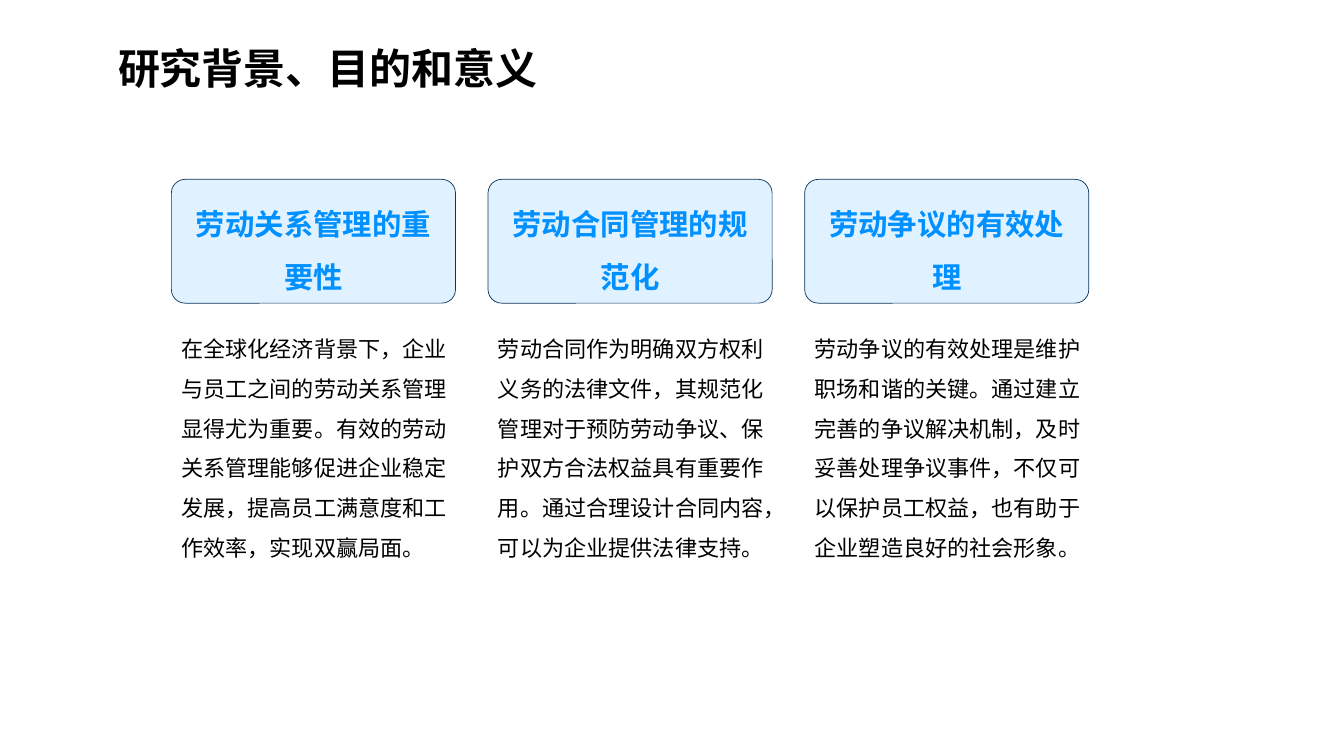
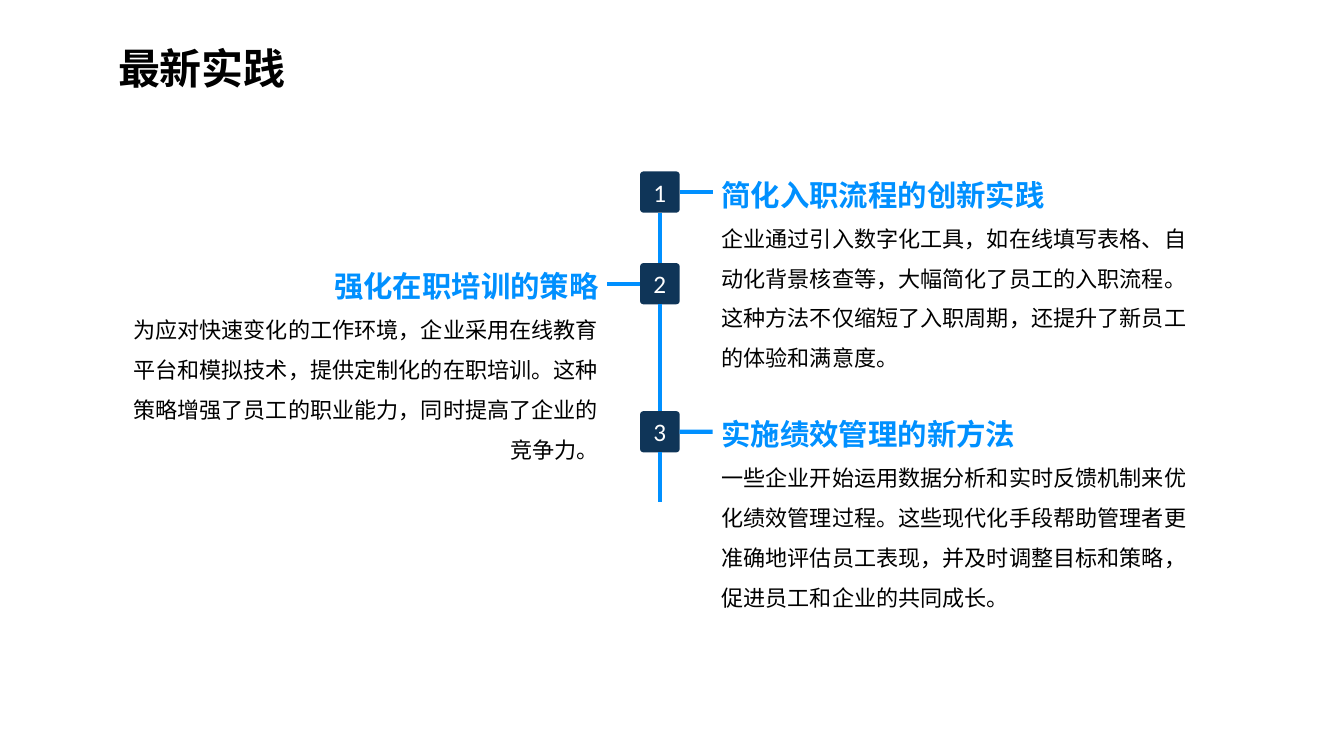
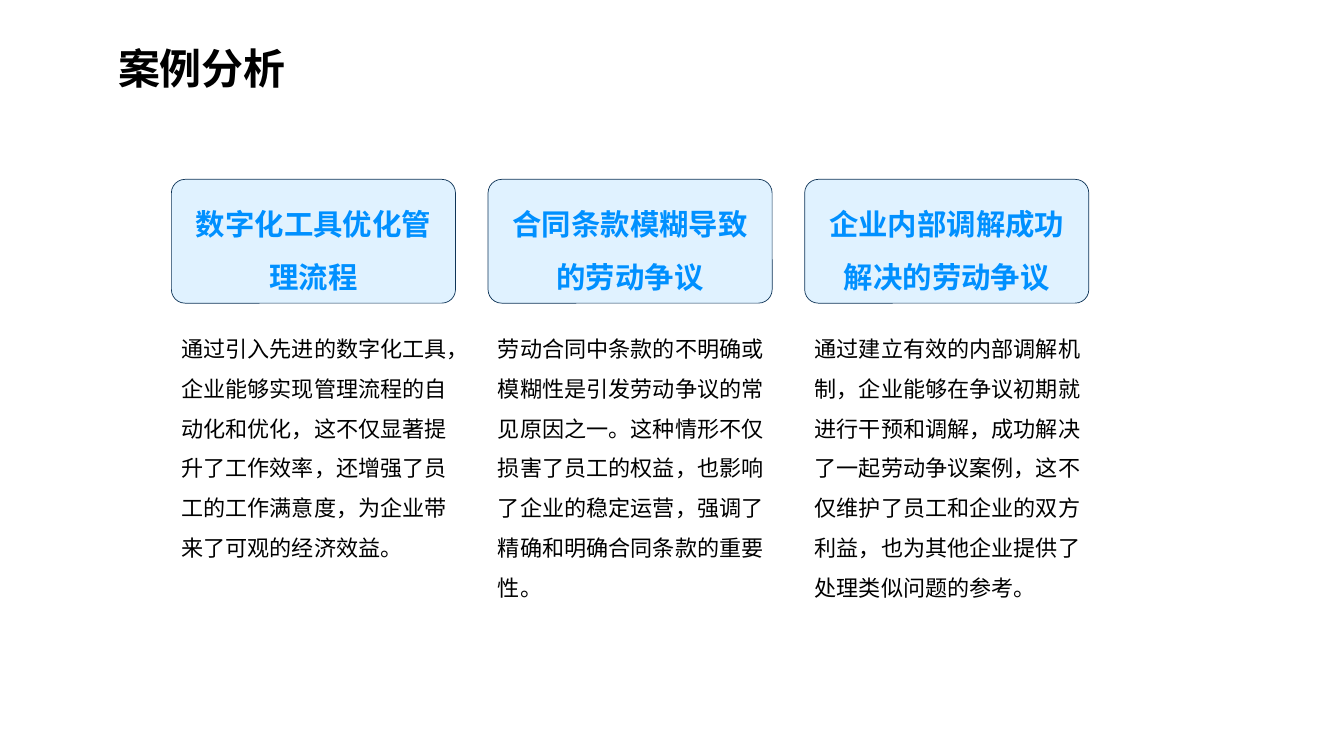
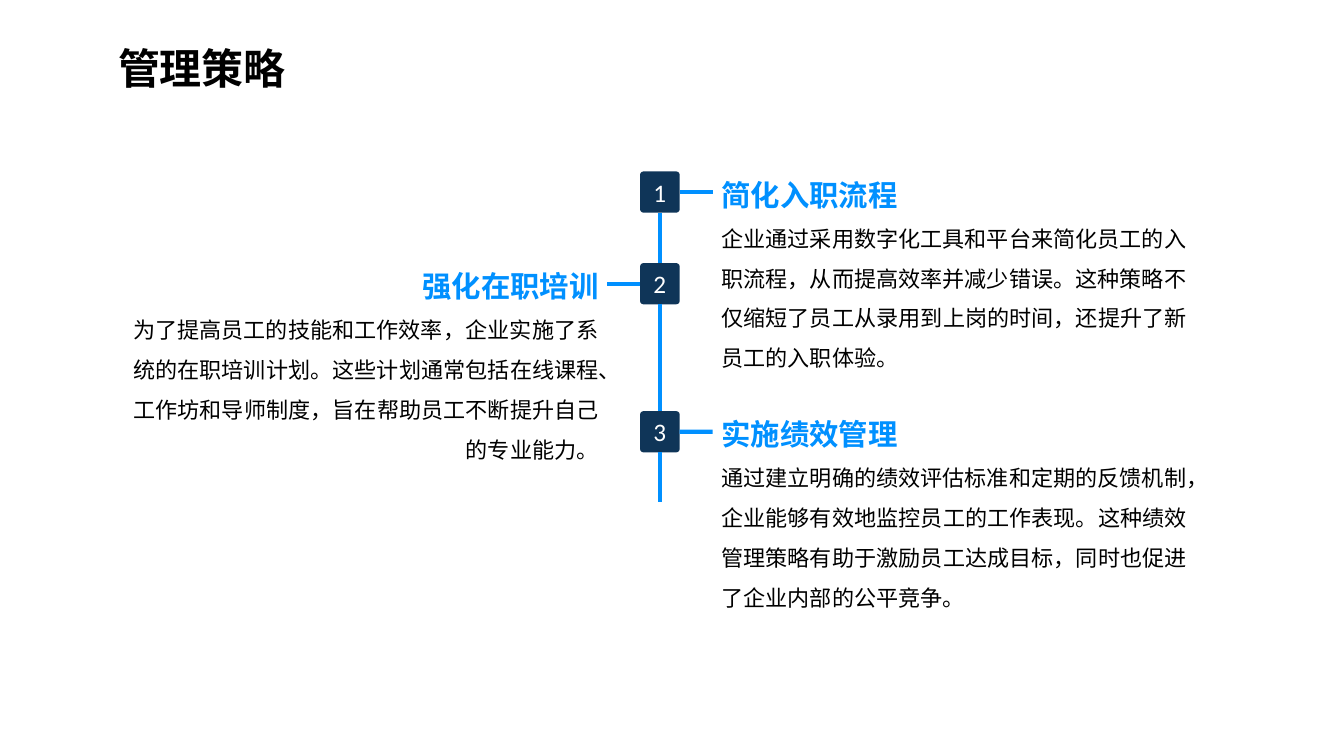
import pptx
import pptx.dml.color
import pptx.enum.shapes
import pptx.enum.text
import pptx.oxml.ns
import pptx.util
from dataclasses import dataclass
from lxml import etree

Cm, Pt = pptx.util.Cm, pptx.util.Pt
RGB = pptx.dml.color.RGBColor.from_string
ALIGN = pptx.enum.text.PP_ALIGN
SHAPE = pptx.enum.shapes.MSO_SHAPE
qn = pptx.oxml.ns.qn


@dataclass(frozen=True)
class Theme:
    ink: str = "000000"
    white: str = "FFFFFF"
    blue: str = "0090FF"
    navy: str = "0F3558"
    pale: str = "E0F2FF"
    font: str = "Noto Sans CJK SC"
    digit: str = "Calibri"
    title: float = 30
    head: float = 21
    mark: float = 18
    body: float = 15.8
    thin: float = 0.5
    bar: float = 3


THEME = Theme()


def write(frame, text, size=THEME.body, color=THEME.ink, font=THEME.font,
          bold=False, align=ALIGN.LEFT, space=1.5, grow=True):
    """Fill the empty first paragraph, or add one after it."""
    kind = pptx.enum.text.MSO_AUTO_SIZE
    frame.word_wrap = True
    frame.auto_size = kind.SHAPE_TO_FIT_TEXT if grow else kind.NONE
    frame.vertical_anchor = pptx.enum.text.MSO_ANCHOR.MIDDLE
    para = frame.paragraphs[0] if not frame.text else frame.add_paragraph()
    para.alignment = align
    para.line_spacing = space
    run = para.add_run()
    run.text = text
    run.font.size = Pt(size)
    run.font.bold = bold
    run.font.color.rgb = RGB(color)
    run.font.name = font
    etree.SubElement(run.font._element, qn("a:ea"), typeface=font)


class Deck:
    def __init__(self, theme):
        self.theme = theme
        self.file = pptx.Presentation()
        self.file.slide_width = Cm(33.87)
        self.file.slide_height = Cm(19.05)
        self.slide = None

    def page(self, title):
        self.slide = self.file.slides.add_slide(self.file.slide_layouts[5])
        box = self.slide.shapes.title
        box.left, box.top, box.width, box.height = Cm(2.72), Cm(0.3), Cm(26.04), Cm(2.16)
        write(box.text_frame, title, size=self.theme.title, bold=True)

    def text(self, x, y, w, h):
        return self.slide.shapes.add_textbox(Cm(x), Cm(y), Cm(w), Cm(h)).text_frame

    def panel(self, x, y, w, h, fill, curve, edge=None):
        box = self.slide.shapes.add_shape(SHAPE.ROUNDED_RECTANGLE, Cm(x), Cm(y), Cm(w), Cm(h))
        box.adjustments[0] = curve
        box.shadow.inherit = False
        box.fill.solid()
        box.fill.fore_color.rgb = RGB(fill)
        if edge:
            box.line.color.rgb = RGB(edge)
            box.line.width = Pt(self.theme.thin)
        else:
            box.line.fill.background()
        return box

    def card(self, x, head, body, rows):
        look = self.theme
        box = self.panel(x, 4.52, 7.16, 3.12, look.pale, 0.11, look.navy)
        write(box.text_frame, head, size=look.head, color=look.blue, bold=True,
              align=ALIGN.CENTER)
        write(self.text(x, 8, 7.62, 0.25 + rows), body)

    def badge(self, x, y, w, h, mark):
        look = self.theme
        box = self.panel(x, y, w, h, look.navy, 0.09)
        write(box.text_frame, mark, size=look.mark, color=look.white, font=look.digit,
              align=ALIGN.CENTER, space=1, grow=False)
        return box

    def note(self, x, y, head, body, align):
        frame = self.text(x, y, 12.62, 5.16)
        write(frame, head, size=self.theme.head, color=self.theme.blue, bold=True,
              align=align, space=1)
        write(frame, body, align=align)

    def link(self, start, side, x=0, y=0, goal=None):
        """Line from a badge's side to a point, or to the top of another badge."""
        line = self.slide.shapes.add_connector(
            pptx.enum.shapes.MSO_CONNECTOR.STRAIGHT, 0, 0, Cm(x), Cm(y))
        line.begin_connect(start, side)
        if goal:
            line.end_connect(goal, 0)
        line.line.color.rgb = RGB(self.theme.blue)
        line.line.width = Pt(self.theme.bar)
        etree.SubElement(line._element.spPr, qn("a:effectLst"))

    # Whole-slide plans
    def cards(self, title, items):
        self.page(title)
        for i, item in enumerate(items):
            self.card(4.32 + 7.98 * i, *item)

    def steps(self, title, items):
        self.page(title)
        left, wide, high, stub = 16.13, 1, 1.04, 0.83
        tops = (4.32, 6.63, 10.36)
        last = None
        for i, (top, (head, body)) in enumerate(zip(tops, items)):
            box = self.badge(left, top, wide, high, str(i + 1))
            mid = top + high / 2
            if i % 2:
                self.note(2.72, top, head, body, ALIGN.RIGHT)
                self.link(box, 1, left - stub, mid)
            else:
                self.note(17.93, top, head, body, ALIGN.LEFT)
                self.link(box, 3, left + wide + stub, mid)
            if last:
                self.link(last, 2, goal=box)
            last = box
        self.link(last, 2, left + wide / 2, 12.65)


def main():
    deck = Deck(THEME)

    # Background; each card ends with its count of body lines
    deck.cards("研究背景、目的和意义", [
        ("劳动关系管理的重要性",
         "在全球化经济背景下，企业与员工之间的劳动关系管理显得尤为重要。"
         "有效的劳动关系管理能够促进企业稳定发展，提高员工满意度和工作效率，实现双赢局面。", 6),
        ("劳动合同管理的规范化",
         "劳动合同作为明确双方权利义务的法律文件，其规范化管理对于预防劳动争议、"
         "保护双方合法权益具有重要作用。通过合理设计合同内容，可以为企业提供法律支持。", 6),
        ("劳动争议的有效处理",
         "劳动争议的有效处理是维护职场和谐的关键。通过建立完善的争议解决机制，"
         "及时妥善处理争议事件，不仅可以保护员工权益，也有助于企业塑造良好的社会形象。", 6),
    ])

    # Latest practice
    deck.steps("最新实践", [
        ("简化入职流程的创新实践",
         "企业通过引入数字化工具，如在线填写表格、自动化背景核查等，大幅简化了员工的入职流程。"
         "这种方法不仅缩短了入职周期，还提升了新员工的体验和满意度。"),
        ("强化在职培训的策略",
         "为应对快速变化的工作环境，企业采用在线教育平台和模拟技术，提供定制化的在职培训。"
         "这种策略增强了员工的职业能力，同时提高了企业的竞争力。"),
        ("实施绩效管理的新方法",
         "一些企业开始运用数据分析和实时反馈机制来优化绩效管理过程。"
         "这些现代化手段帮助管理者更准确地评估员工表现，并及时调整目标和策略，"
         "促进员工和企业的共同成长。"),
    ])

    # Cases
    deck.cards("案例分析", [
        ("数字化工具优化管理流程",
         "通过引入先进的数字化工具，企业能够实现管理流程的自动化和优化，"
         "这不仅显著提升了工作效率，还增强了员工的工作满意度，为企业带来了可观的经济效益。", 6),
        ("合同条款模糊导致的劳动争议",
         "劳动合同中条款的不明确或模糊性是引发劳动争议的常见原因之一。"
         "这种情形不仅损害了员工的权益，也影响了企业的稳定运营，"
         "强调了精确和明确合同条款的重要性。", 7),
        ("企业内部调解成功解决的劳动争议",
         "通过建立有效的内部调解机制，企业能够在争议初期就进行干预和调解，"
         "成功解决了一起劳动争议案例，这不仅维护了员工和企业的双方利益，"
         "也为其他企业提供了处理类似问题的参考。", 7),
    ])

    # Strategy
    deck.steps("管理策略", [
        ("简化入职流程",
         "企业通过采用数字化工具和平台来简化员工的入职流程，从而提高效率并减少错误。"
         "这种策略不仅缩短了员工从录用到上岗的时间，还提升了新员工的入职体验。"),
        ("强化在职培训",
         "为了提高员工的技能和工作效率，企业实施了系统的在职培训计划。"
         "这些计划通常包括在线课程、工作坊和导师制度，旨在帮助员工不断提升自己的专业能力。"),
        ("实施绩效管理",
         "通过建立明确的绩效评估标准和定期的反馈机制，企业能够有效地监控员工的工作表现。"
         "这种绩效管理策略有助于激励员工达成目标，同时也促进了企业内部的公平竞争。"),
    ])

    deck.file.save("out.pptx")


if __name__ == "__main__":
    main()
